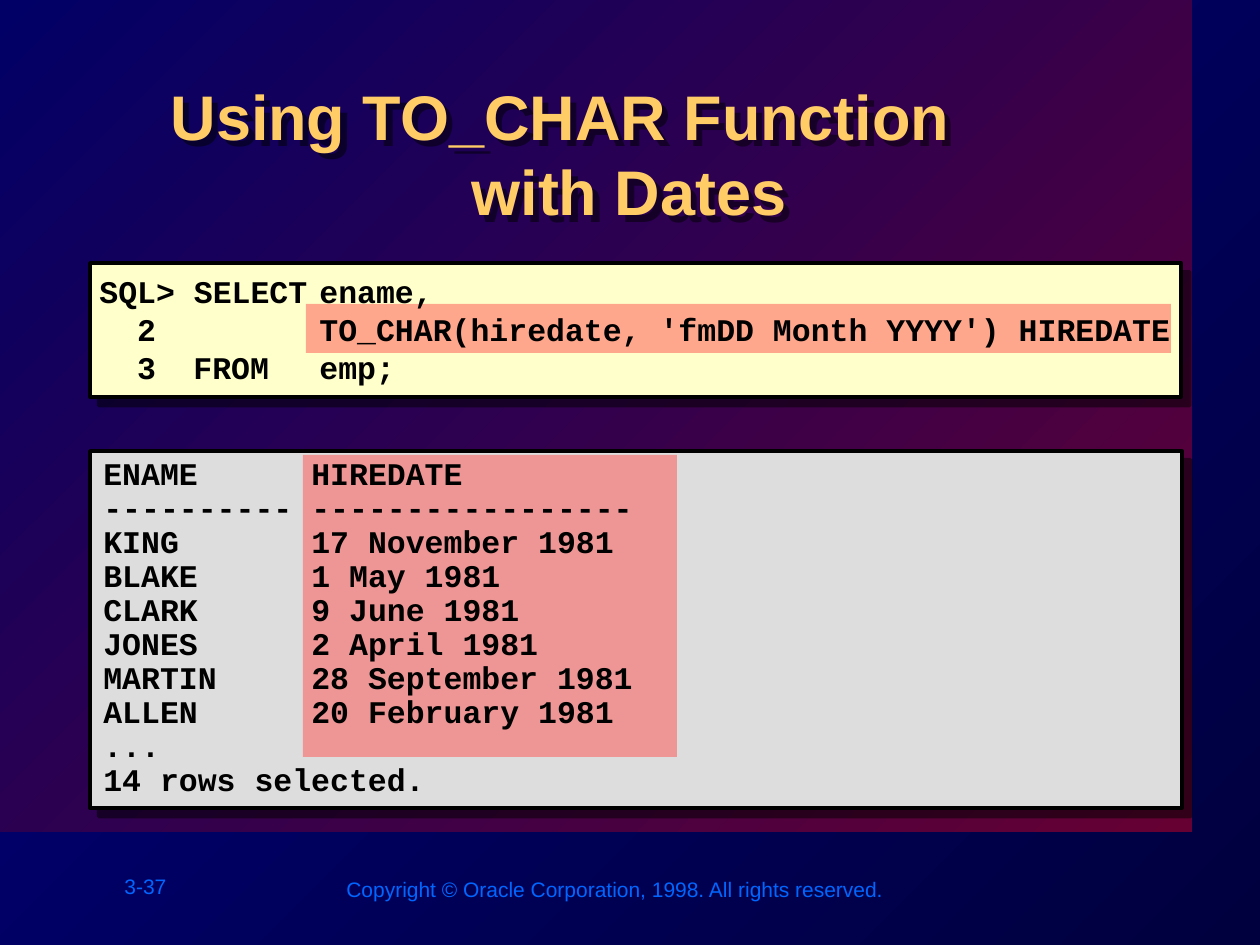
import dataclasses
import typing

import lxml.etree
import pptx
import pptx.dml.color
import pptx.enum.shapes
import pptx.enum.text
import pptx.oxml
import pptx.oxml.ns
import pptx.util

PX = 914400 // 126
BLACK = "000000"
HIGHLIGHT = "FF5050"
FOOTER_BLUE = "0066FF"


@dataclasses.dataclass
class Area:
    left: int
    top: int
    width: int
    height: int

    def emu(self) -> list[int]:
        return [value * PX for value in dataclasses.astuple(self)]


@dataclasses.dataclass
class Style:
    font: str
    size: int
    color: str
    bold: bool = False
    spacing: float = 1.0


CODE = Style("Courier New", 18, BLACK, True)
RESULT = Style("Courier New", 18, BLACK, True, 0.9)
FOOTER = Style("Arial", 12, FOOTER_BLUE)
TITLE = Style("Arial", 36, "FFCC66", True)


def rgb(color: str) -> pptx.dml.color.RGBColor:
    return pptx.dml.color.RGBColor.from_string(color)


def add_element(parent: typing.Any, tag: str, **attributes: typing.Any) -> typing.Any:
    element = lxml.etree.SubElement(parent, pptx.oxml.ns.qn(tag))
    for name, value in attributes.items():
        element.set(name, str(value))
    return element


def set_gradient(fill: typing.Any, start: str, end: str) -> None:
    fill.gradient()
    fill.gradient_angle = 315
    for stop, color in zip(fill.gradient_stops, (start, end)):
        stop.color.rgb = rgb(color)


def add_shadow(shape: typing.Any, distance: float) -> None:
    shape.shadow.inherit = False
    effects = shape._element.spPr.find(pptx.oxml.ns.qn("a:effectLst"))
    shadow = add_element(effects, "a:outerShdw", dist=pptx.util.Pt(distance),
                         dir=45 * 60000, algn="ctr", rotWithShape=0)
    color = add_element(shadow, "a:srgbClr", val=BLACK)
    add_element(color, "a:alpha", val=50000)


def add_rectangle(page: typing.Any, area: Area) -> typing.Any:
    shape = page.shapes.add_shape(pptx.enum.shapes.MSO_SHAPE.RECTANGLE, *area.emu())
    shape.shadow.inherit = False
    shape.line.fill.background()
    return shape


def add_panel(page: typing.Any, area: Area, color: str) -> None:
    panel = add_rectangle(page, area)
    panel.fill.solid()
    panel.fill.fore_color.rgb = rgb(color)
    panel.line.color.rgb = rgb(BLACK)
    panel.line.width = pptx.util.Pt(2)
    add_shadow(panel, 7.1)


def add_highlight(page: typing.Any, area: Area) -> None:
    shape = add_rectangle(page, area)
    shape.fill.solid()
    shape.fill.fore_color.rgb = rgb(HIGHLIGHT)
    color = shape._element.spPr.find(".//" + pptx.oxml.ns.qn("a:srgbClr"))
    add_element(color, "a:alpha", val=50000)


def write_lines(frame: typing.Any, lines: list[str], style: Style,
                tabs: tuple[int, ...] = ()) -> None:
    for index, line in enumerate(lines):
        para = frame.paragraphs[0] if index == 0 else frame.add_paragraph()
        para.line_spacing = style.spacing
        if tabs:
            tab_list = add_element(para._p.get_or_add_pPr(), "a:tabLst")
            for position in tabs:
                add_element(tab_list, "a:tab", pos=position * PX, algn="l")
        span = para.add_run()
        span.text = line
        span.font.name = style.font
        span.font.size = pptx.util.Pt(style.size)
        span.font.bold = style.bold
        span.font.color.rgb = rgb(style.color)


def add_text(page: typing.Any, area: Area, lines: list[str], style: Style,
             tabs: tuple[int, ...] = (), wrap: bool = True) -> typing.Any:
    frame = page.shapes.add_textbox(*area.emu()).text_frame
    frame.word_wrap = wrap
    write_lines(frame, lines, style, tabs)
    return frame


def add_title(page: typing.Any, area: Area, lines: list[str], indents: list[int]) -> None:
    title = page.shapes.title
    title.left, title.top, title.width, title.height = area.emu()
    frame = title.text_frame
    frame.word_wrap = True
    frame.auto_size = pptx.enum.text.MSO_AUTO_SIZE.NONE
    frame.vertical_anchor = pptx.enum.text.MSO_ANCHOR.TOP
    write_lines(frame, lines, TITLE)
    for para, indent in zip(frame.paragraphs, indents):
        para.alignment = pptx.enum.text.PP_ALIGN.LEFT
        para.space_before = pptx.util.Pt(0)
        para._p.get_or_add_pPr().set("marL", str(indent * PX))
    add_shadow(title, 5)


def main() -> None:
    deck = pptx.Presentation()
    deck.slide_width, deck.slide_height = 1260 * PX, 945 * PX
    page = deck.slides.add_slide(deck.slide_layouts[5])

    # Background and main field, which lies behind the title
    set_gradient(page.background.fill, "000080", "00003F")
    field = add_rectangle(page, Area(0, 0, 1192, 832))
    set_gradient(field.fill, "000066", "660033")
    page.shapes.title._element.addprevious(field._element)

    # Footer
    add_text(page, Area(112, 867, 69, 38), ["3-37"], FOOTER, wrap=False)
    add_text(page, Area(334, 870, 566, 38),
             ["Copyright © Oracle Corporation, 1998. All rights reserved."],
             FOOTER, wrap=False)

    # Title, with the second line stepped in
    add_title(page, Area(127, 71, 1006, 121),
              ["Using TO_CHAR Function", "with Dates"], [31, 332])

    # Panels and highlights
    add_panel(page, Area(90, 263, 1091, 134), "FFFFCC")
    add_panel(page, Area(90, 451, 1092, 357), "DDDDDD")
    add_highlight(page, Area(306, 304, 865, 49))
    add_highlight(page, Area(303, 455, 374, 302))

    # Query
    query = ["SQL> SELECT\tename,",
             "  2\t\tTO_CHAR(hiredate, 'fmDD Month YYYY') HIREDATE",
             "  3\tFROM\temp;"]
    frame = add_text(page, Area(87, 236, 1110, 186), query, CODE, (94, 220))
    frame.vertical_anchor = pptx.enum.text.MSO_ANCHOR.MIDDLE

    # Query result
    rows = [("ENAME", "HIREDATE"), ("-" * 10, "-" * 17),
            ("KING", "17 November 1981"), ("BLAKE", "1 May 1981"),
            ("CLARK", "9 June 1981"), ("JONES", "2 April 1981"),
            ("MARTIN", "28 September 1981"), ("ALLEN", "20 February 1981"),
            ("...",), ("14 rows selected.",)]
    add_text(page, Area(91, 452, 1000, 354), ["\t".join(row) for row in rows],
             RESULT, (208,))

    deck.save("out.pptx")


if __name__ == "__main__":
    main()
